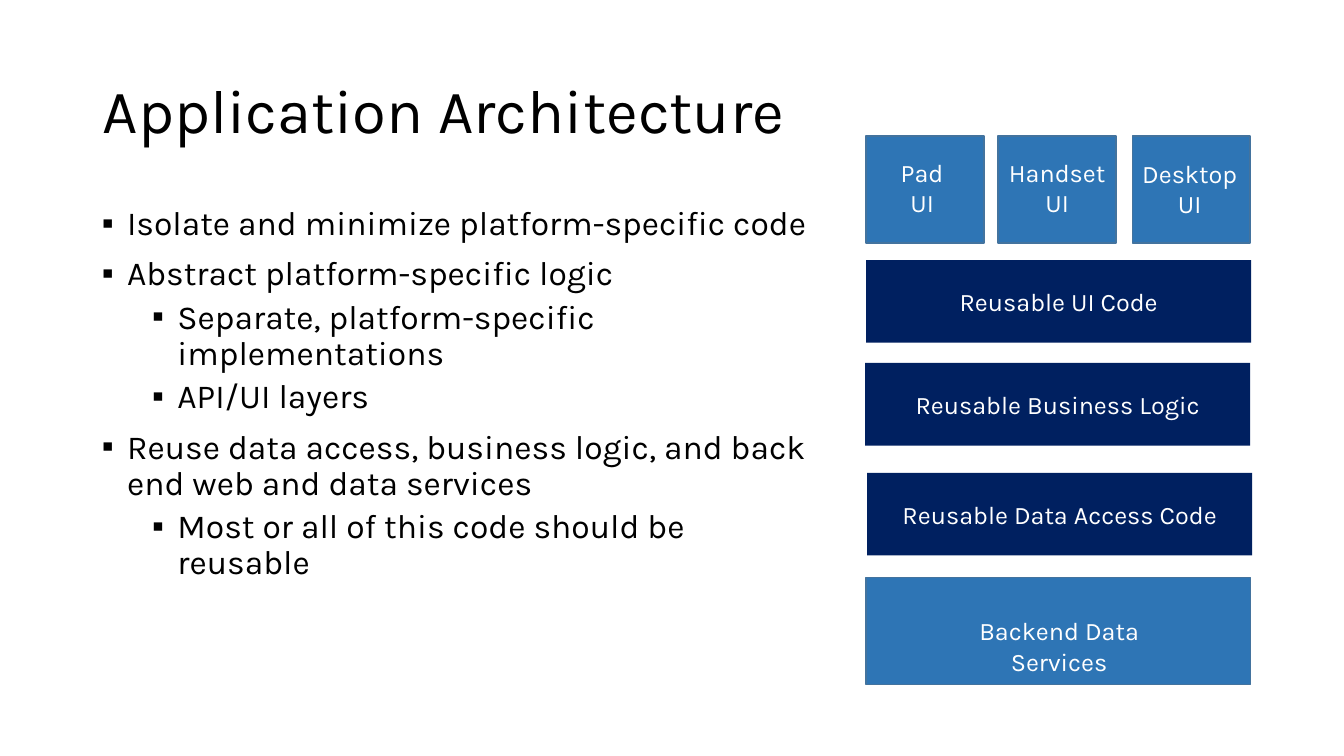
from pptx import Presentation
from pptx.dml.color import RGBColor
from pptx.enum.shapes import MSO_SHAPE
from pptx.enum.text import MSO_ANCHOR, MSO_AUTO_SIZE, PP_ALIGN
from pptx.util import Inches, Pt
from lxml.etree import SubElement
from pptx.oxml.ns import qn

TITLE = "Application Architecture"
POINTS = [
    (0, "Isolate and minimize platform-specific code"),
    (0, "Abstract platform-specific logic"),
    (1, "Separate, platform-specific implementations"),
    (1, "API/UI layers"),
    (0, "Reuse data access, business logic, and back end web and data services"),
    (1, "Most or all of this code should be reusable"),
]
FRONTS = [
    (8.59, "Pad", (8.59, 1.51, 1.11, 0.71)),
    (9.9, "Handset", (9.9, 1.51, 1.17, 0.71)),
    (11.23, "Desktop", (11.17, 1.52, 1.26, 0.71)),
]
LAYERS = [
    (8.59, 2.58, "Reusable UI Code"),
    (8.58, 3.6, "Reusable Business Logic"),
    (8.6, 4.69, "Reusable Data Access Code"),
]
BACK = "Backend Data Services"
THEME = {
    "font": "Karla", "ink": "000000", "pale": "FFFFFF",
    "navy": "002060", "blue": "2E75B5", "edge": "43739E",
    "title": 44, "body": 24, "label": 18,
}


def write(frame, lines, size="label", color="pale", align=PP_ALIGN.CENTER,
          anchor=MSO_ANCHOR.TOP, space=1.0, bullet=None):
    frame.word_wrap = True
    frame.auto_size = MSO_AUTO_SIZE.NONE
    frame.vertical_anchor = anchor
    for i, (level, text) in enumerate(lines):
        para = frame.paragraphs[0] if i == 0 else frame.add_paragraph()
        para.level = level
        para.alignment = align
        para.line_spacing = space
        para.space_before = Pt(0)
        if bullet:
            para.space_before = Pt(0 if i == 0 else 5 if level else 10)
            props = para._p.get_or_add_pPr()
            props.set("marL", str(Inches(0.25 + 0.5 * level)))
            props.set("indent", str(Inches(-0.25)))
            SubElement(props, qn("a:buFont"), typeface="Arial")
            SubElement(props, qn("a:buChar"), char=bullet)
        run = para.add_run()
        run.text = text
        run.font.name = THEME["font"]
        run.font.size = Pt(THEME[size])
        run.font.color.rgb = RGBColor.from_string(THEME[color])


def place(shape, *spot):
    shape.left, shape.top, shape.width, shape.height = map(Inches, spot)


def block(slide, spot, fill, edge=None):
    shape = slide.shapes.add_shape(MSO_SHAPE.RECTANGLE, *map(Inches, spot))
    shape.shadow.inherit = False
    shape.fill.solid()
    shape.fill.fore_color.rgb = RGBColor.from_string(THEME[fill])
    if edge:
        shape.line.color.rgb = RGBColor.from_string(THEME[edge])
        shape.line.width = Pt(1)
    else:
        shape.line.fill.background()
    return shape


def label(slide, spot, *lines):
    box = slide.shapes.add_textbox(*map(Inches, spot))
    write(box.text_frame, [(0, text) for text in lines])


def main():
    deck = Presentation()
    deck.slide_width, deck.slide_height = Inches(13.33), Inches(7.5)
    slide = deck.slides.add_slide(deck.slide_layouts[1])
    title, body = slide.placeholders
    place(title, 0.92, 0.4, 11.5, 1.45)
    write(title.text_frame, [(0, TITLE)], size="title", color="ink",
          align=PP_ALIGN.LEFT, anchor=MSO_ANCHOR.MIDDLE, space=0.9)
    place(body, 0.91, 2, 7.29, 5)
    write(body.text_frame, POINTS, size="body", color="ink",
          align=PP_ALIGN.LEFT, space=0.9, bullet="▪")

    for left, name, spot in FRONTS:
        block(slide, (left, 1.35, 1.17, 1.06), "blue", "edge")
        label(slide, spot, name, "UI")
    for left, top, text in LAYERS:
        shape = block(slide, (left, top, 3.82, 0.82), "navy")
        write(shape.text_frame, [(0, text)], anchor=MSO_ANCHOR.MIDDLE)
    block(slide, (8.59, 5.73, 3.81, 1.06), "blue", "edge")
    label(slide, (9.16, 6.06, 2.69, 0.71), BACK)
    deck.save("out.pptx")


if __name__ == "__main__":
    main()
